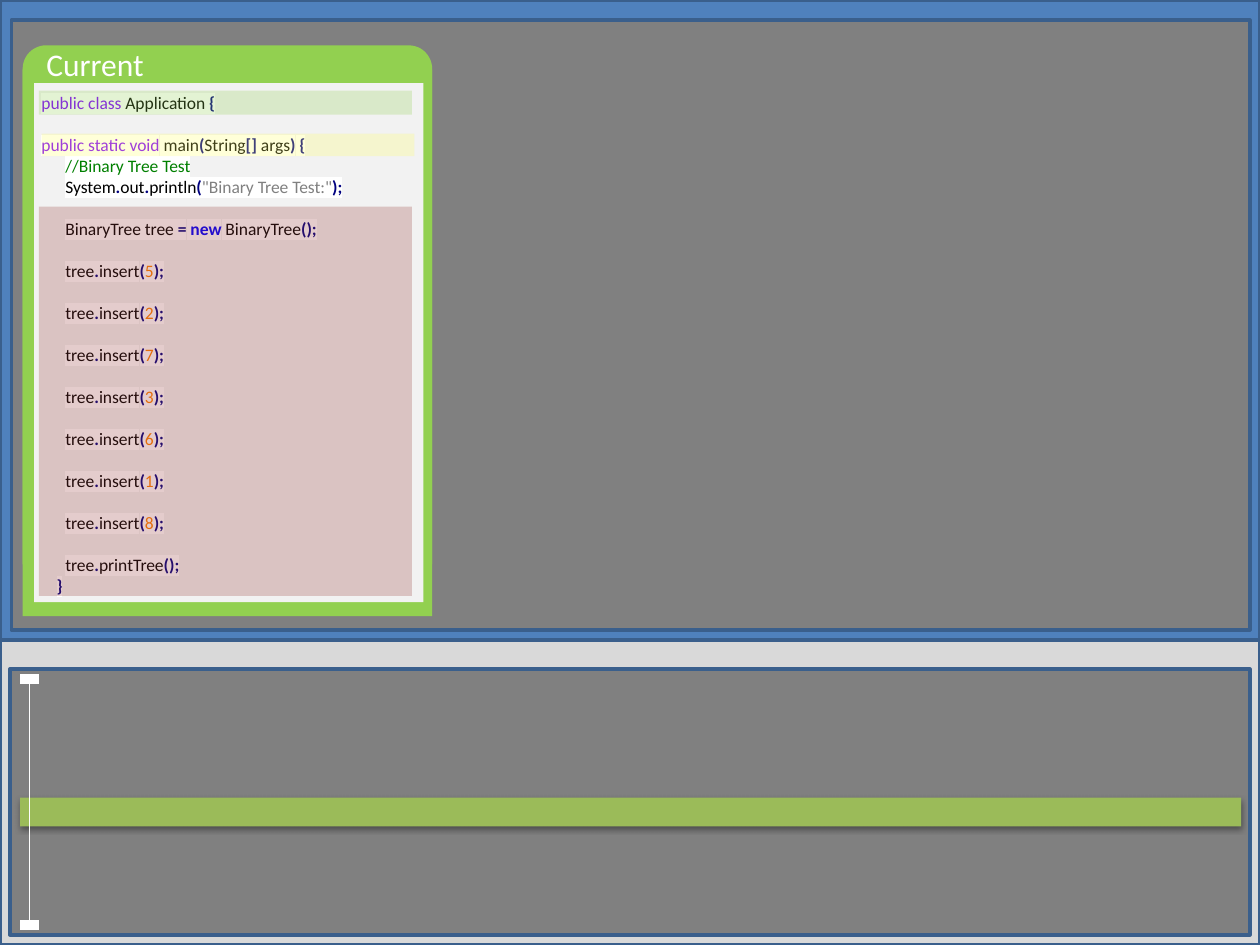
from lxml import etree
from pptx import Presentation
from pptx.dml.color import RGBColor
from pptx.enum.dml import MSO_FILL
from pptx.enum.shapes import MSO_CONNECTOR, MSO_SHAPE
from pptx.enum.text import MSO_ANCHOR, MSO_AUTO_SIZE
from pptx.oxml.ns import qn
from pptx.util import Inches, Pt

RECT = MSO_SHAPE.RECTANGLE
ROUND = MSO_SHAPE.ROUND_2_SAME_RECTANGLE
STRAIGHT = MSO_CONNECTOR.STRAIGHT
SOLID = MSO_FILL.SOLID
TOP = MSO_ANCHOR.TOP
GROW = MSO_AUTO_SIZE.SHAPE_TO_FIT_TEXT

WIDE, HIGH = Inches(10), Inches(7.5)
COLS, ROWS = 1000, 750
FONT = "Calibri"
SIZE = 10
GAP = 12
TAB = 19
STEP = 12

HUES = {
    "edge": "3A5F8C", "pale": "D9D9D9", "blue": "4F81BD", "gray": "808080",
    "green": "92D050", "paper": "F2F2F2", "gold": "FFFF66", "wine": "953735",
    "bar": "9BBB59", "white": "FFFFFF", "black": "000000",
    "word": "8000FF", "sign": "000080", "note": "008000", "text": "808080",
    "new": "0000FF", "digit": "FF8000", "plain": "000000",
}
BOLD = {"sign", "new"}


def rgb(hue):
    return RGBColor.from_string(HUES[hue])


def col(n):
    return round(WIDE * n / COLS)


def row(n):
    return round(HIGH * n / ROWS)


def area(x, y, w, h):
    return col(x), row(y), col(w), row(h)


def node(parent, tag, **attrs):
    return etree.SubElement(parent, qn(tag), attrs)


def fade(color, share):
    node(color, "a:alpha", val=str(share * 1000))


def box(shapes, place, hue, edge=None, kind=RECT, share=None):
    shape = shapes.add_shape(kind, *area(*place))
    shape.shadow.inherit = False
    shape.fill.solid()
    shape.fill.fore_color.rgb = rgb(hue)
    if share and shape.fill.type == SOLID:
        fade(shape.fill._xPr.find(qn("a:solidFill"))[0], share)
    if edge:
        shape.line.color.rgb = rgb(edge)
        shape.line.width = Pt(2)
    else:
        shape.line.fill.background()
    return shape


def shade(shape):
    effect = shape._element.spPr.find(qn("a:effectLst"))
    cast = node(effect, "a:outerShdw", blurRad=str(Pt(3.1)),
                dist=str(Pt(1.6)), dir="5400000", rotWithShape="0")
    fade(node(cast, "a:srgbClr", val=HUES["black"]), 38)


def rule(shapes, start, end, width):
    line = shapes.add_connector(STRAIGHT, col(start[0]), row(start[1]),
                                col(end[0]), row(end[1]))
    line.line.color.rgb = rgb("white")
    line.line.width = Pt(width)
    node(line._element.spPr, "a:effectLst")


def frame(shapes, place, wrap):
    text = shapes.add_textbox(*area(*place)).text_frame
    look = {"word_wrap": wrap, "auto_size": GROW, "vertical_anchor": TOP}
    for key, value in look.items():
        setattr(text, key, value)
    return text


def write(para, text, hue, size, bold=False):
    run = para.add_run()
    run.text = text
    look = {"name": FONT, "size": Pt(size), "bold": bold}
    for key, value in look.items():
        setattr(run.font, key, value)
    run.font.color.rgb = rgb(hue)
    return run


def mark(run):
    glow = etree.Element(qn("a:highlight"))
    node(glow, "a:srgbClr", val=HUES["white"])
    run.font._element.find(qn("a:solidFill")).addnext(glow)


def call(name, *args):
    start = [("plain", "tree"), ("sign", "."), ("plain", name)]
    if not args:
        return start + [("sign", "();")]
    return start + [("sign", "("), ("digit", str(args[0])), ("sign", ");")]


def source():
    yield 0, 0, [("word", "public"), ("plain", " "), ("word", "class"),
                 ("plain", " Application "), ("sign", "{")]
    yield GAP, 0, [("word", "public"), ("plain", " "), ("word", "static"),
                   ("plain", " "), ("word", "void"), ("plain", " main"),
                   ("sign", "("), ("plain", "String"), ("sign", "[]"),
                   ("plain", " args"), ("sign", ")"), ("plain", " "),
                   ("sign", "{")]
    yield 0, TAB, [("note", "//Binary Tree Test")]
    yield 0, TAB, [("plain", "System"), ("sign", "."), ("plain", "out"),
                   ("sign", "."), ("plain", "println"), ("sign", "("),
                   ("text", '"Binary Tree Test:"'), ("sign", ");")]
    yield GAP, TAB, [("plain", "BinaryTree tree "), ("sign", "="),
                     ("plain", " "), ("new", "new"),
                     ("plain", " BinaryTree"), ("sign", "();")]
    for key in (5, 2, 7, 3, 6, 1, 8):
        yield GAP, TAB, call("insert", key)
    yield GAP, TAB, call("printTree")
    yield 0, STEP, [("sign", "}")]


def code(shapes, place):
    text = frame(shapes, place, True)
    for i, (gap, indent, parts) in enumerate(source()):
        para = text.add_paragraph() if i else text.paragraphs[0]
        para.space_before = Pt(gap)
        para._p.get_or_add_pPr().set("marL", str(col(indent)))
        for hue, part in parts:
            mark(write(para, part, hue, SIZE, hue in BOLD))


def panels(shapes):
    for place, hue in (
        ((0, 508, 1000, 242), "pale"),
        ((0, 0, 1000, 508), "blue"),
        ((8, 531, 984, 211), "gray"),
        ((9, 16, 983, 484), "gray"),
    ):
        box(shapes, place, hue, "edge")


def card(shapes):
    group = shapes.add_group_shape().shapes
    top = box(group, (18, 36, 325, 412), "green", kind=ROUND)
    top.adjustments[0] = 0.057
    box(group, (18, 55, 325, 434), "green")
    box(group, (27, 66, 309, 412), "paper")
    head = frame(shapes, (27, 31, 98, 40), False)
    write(head.paragraphs[0], "Current", "white", 18)
    code(shapes, (23, 68, 265, 414))
    for x, y, h, hue in ((33, 106, 18, "gold"), (31, 72, 19, "green"),
                         (31, 164, 309, "wine")):
        box(shapes, (x, y, 296, h), hue, share=25)


def track(shapes):
    shade(box(shapes, (16, 633, 969, 23), "bar"))
    group = shapes.add_group_shape().shapes
    top, end = 539, 734
    for y in (top, end):
        rule(group, (16, y), (31, y), 6)
    rule(group, (23.5, top), (23.5, end), 1)


def main():
    deck = Presentation()
    deck.slide_width, deck.slide_height = WIDE, HIGH
    shapes = deck.slides.add_slide(deck.slide_layouts[6]).shapes
    panels(shapes)
    card(shapes)
    track(shapes)
    deck.save("out.pptx")


if __name__ == "__main__":
    main()
